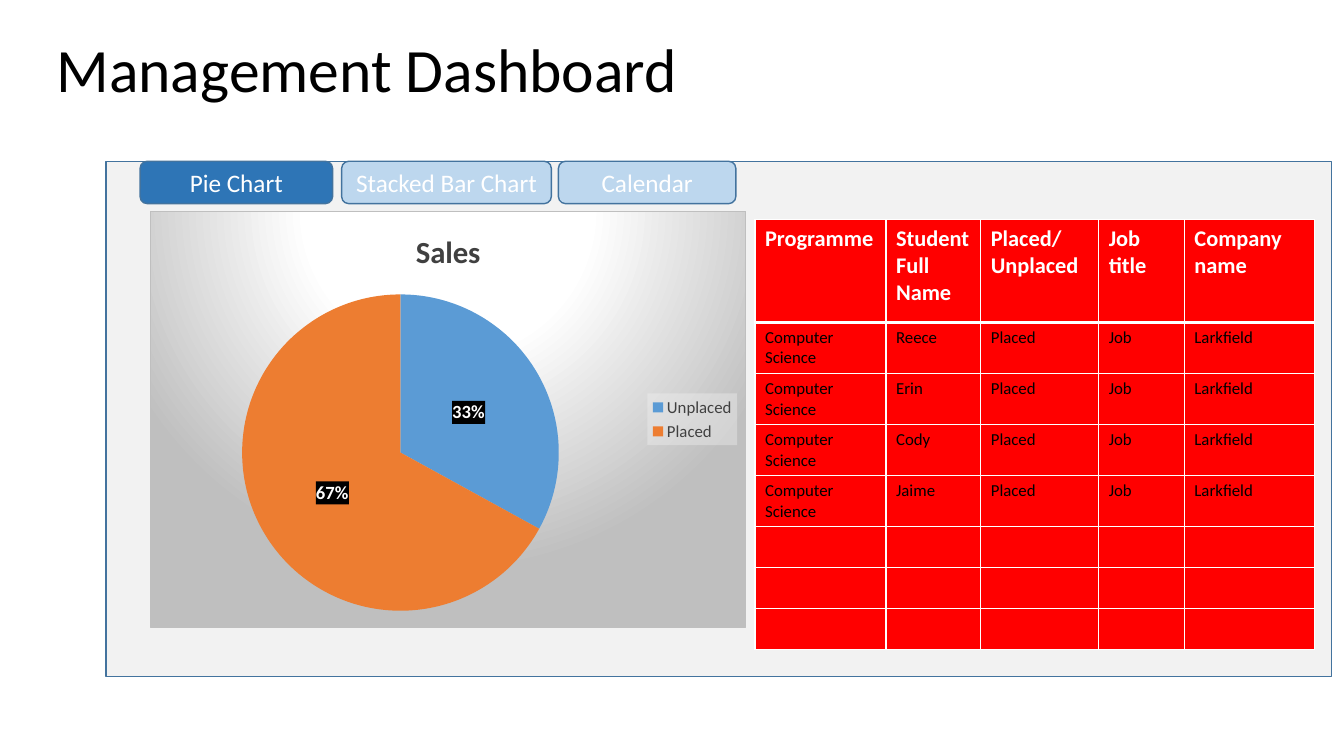
import lxml.etree
import pptx
import pptx.chart.data
import pptx.dml.color
import pptx.enum.chart
import pptx.enum.shapes
import pptx.enum.text
import pptx.oxml
import pptx.oxml.ns
import pptx.util

COLUMNS, ROWS = 40, 22.5
DRAWING = 'xmlns:a="http://schemas.openxmlformats.org/drawingml/2006/main"'
CHART = 'xmlns:c="http://schemas.openxmlformats.org/drawingml/2006/chart"'


def color(value):
    return pptx.dml.color.RGBColor.from_string(value)


def solid_fill(value, opacity=100):
    return (f'<a:solidFill><a:srgbClr val="{value}">'
            f'<a:alpha val="{opacity * 1000}"/></a:srgbClr></a:solidFill>')


class Dashboard:
    font_name = "Calibri"
    black, white, gray = "000000", "FFFFFF", "404040"
    outline, border, panel_fill = "43739E", "BFBFBF", "F2F2F2"
    active, inactive, alert = "2E75B6", "BDD7EE", "FF0000"

    def __init__(self, presentation):
        self.slide = presentation.slides.add_slide(presentation.slide_layouts[5])
        self.column = presentation.slide_width / COLUMNS
        self.row = presentation.slide_height / ROWS

    def box(self, left, top, width, height):
        return (round(left * self.column), round(top * self.row),
                round(width * self.column), round(height * self.row))

    def format_font(self, font, size, value, bold=False):
        font.name, font.size, font.bold = self.font_name, pptx.util.Pt(size), bold
        font.color.rgb = color(value)

    def format_text(self, text_frame, *style):
        for paragraph in text_frame.paragraphs:
            for run in paragraph.runs:
                self.format_font(run.font, *style)

    def title(self, text, *area):
        shape = self.slide.shapes.title
        shape.left, shape.top, shape.width, shape.height = self.box(*area)
        frame = shape.text_frame
        frame.text = text
        frame.auto_size = pptx.enum.text.MSO_AUTO_SIZE.NONE
        frame.vertical_anchor = pptx.enum.text.MSO_ANCHOR.TOP
        frame.paragraphs[0].alignment = pptx.enum.text.PP_ALIGN.LEFT
        self.format_text(frame, 44, self.black)

    def rectangle(self, fill, *area, text="", rounded=False):
        kinds = pptx.enum.shapes.MSO_SHAPE
        kind = kinds.ROUNDED_RECTANGLE if rounded else kinds.RECTANGLE
        shape = self.slide.shapes.add_shape(kind, *self.box(*area))
        shape.shadow.inherit = False
        shape.fill.solid()
        shape.fill.fore_color.rgb = color(fill)
        shape.line.color.rgb = color(self.outline)
        shape.line.width = pptx.util.Pt(1)
        if text:
            frame = shape.text_frame
            frame.text = text
            frame.vertical_anchor = pptx.enum.text.MSO_ANCHOR.MIDDLE
            frame.paragraphs[0].alignment = pptx.enum.text.PP_ALIGN.CENTER
            self.format_text(frame, 18, self.white)

    def chart_background(self, element, content):
        """Put shape properties just before the text properties of a chart part."""
        properties = pptx.oxml.parse_xml(f"<c:spPr {CHART} {DRAWING}>{content}</c:spPr>")
        element.find(pptx.oxml.ns.qn("c:txPr")).addprevious(properties)

    def pie(self, name, points, *area):
        data = pptx.chart.data.CategoryChartData()
        data.categories = [label for label, _, _ in points]
        data.add_series(name, [value for _, value, _ in points])
        chart = self.slide.shapes.add_chart(
            pptx.enum.chart.XL_CHART_TYPE.PIE, *self.box(*area), data).chart
        self.format_font(chart.font, 10, self.black)

        # Title and legend
        chart.has_title = True
        chart.chart_title.text_frame.text = name
        chart.chart_title.include_in_layout = False
        self.format_text(chart.chart_title.text_frame, 22, self.gray, True)
        chart.has_legend = True
        chart.legend.position = pptx.enum.chart.XL_LEGEND_POSITION.RIGHT
        chart.legend.include_in_layout = False
        self.format_font(chart.legend.font, 12, self.gray)

        # Slices and percentages
        plot = chart.plots[0]
        plot.vary_by_categories = True
        for index, (_, _, fill) in enumerate(points):
            slice_format = plot.series[0].points[index].format
            slice_format.fill.solid()
            slice_format.fill.fore_color.rgb = color(fill)
            slice_format.line.fill.background()
        labels = plot.series[0].data_labels
        labels.show_percentage, labels.show_value = True, False
        labels.number_format, labels.number_format_is_linked = "0%", False
        labels.position = pptx.enum.chart.XL_LABEL_POSITION.CENTER
        self.format_font(labels.font, 13.3, self.white, True)

        # Backgrounds
        stops = "".join(f'<a:gs pos="{position}000"><a:srgbClr val="{value}"/></a:gs>'
                        for position, value in
                        [(0, self.white), (39, self.white), (100, self.border)])
        self.chart_background(
            chart._chartSpace,
            f'<a:gradFill><a:gsLst>{stops}</a:gsLst><a:path path="circle">'
            '<a:fillToRect l="50000" t="-80000" r="50000" b="180000"/></a:path>'
            f'</a:gradFill><a:ln w="9525">{solid_fill(self.border)}</a:ln>')
        self.chart_background(chart.legend._element, solid_fill(self.panel_fill, 39))
        self.chart_background(labels._element, solid_fill(self.black, 75))

        # Position of the pie inside the chart
        plot_area = chart._chartSpace.chart.plotArea
        for layout in plot_area.findall(pptx.oxml.ns.qn("c:layout")):
            plot_area.remove(layout)
        places = "".join(f'<c:{tag} val="{value}"/>' for tag, value in [
            ("layoutTarget", "inner"), ("xMode", "edge"), ("yMode", "edge"),
            ("x", 0.15), ("y", 0.2), ("w", 0.54), ("h", 0.76)])
        plot_area.insert(0, pptx.oxml.parse_xml(
            f"<c:layout {CHART}><c:manualLayout>{places}</c:manualLayout></c:layout>"))

    def cell_borders(self, cell, top, bottom):
        properties = cell._tc.get_or_add_tcPr()
        for side, points in [("L", 1), ("R", 1), ("T", top), ("B", bottom)]:
            properties.append(pptx.oxml.parse_xml(
                f'<a:ln{side} {DRAWING} w="{points * 12700}">'
                f'{solid_fill(self.white)}</a:ln{side}>'))

    def table(self, left, top, widths, heights, records):
        area = self.box(left, top, sum(widths), sum(heights))
        table = self.slide.shapes.add_table(len(heights), len(widths), *area).table
        table.horz_banding = False
        for column, width in zip(table.columns, widths):
            column.width = round(width * self.column)
        for index, height in enumerate(heights):
            table.rows[index].height = round(height * self.row)
            record = records[index] if index < len(records) else [""] * len(widths)
            style = (16, self.white, True) if index == 0 else (12, self.black)
            for cell, text in zip(table.rows[index].cells, record):
                self.cell_borders(cell, 3 if index == 1 else 1, 3 if index == 0 else 1)
                cell.fill.solid()
                cell.fill.fore_color.rgb = color(self.alert)
                if text:
                    cell.text_frame.text = text
                    self.format_text(cell.text_frame, *style)


def main():
    presentation = pptx.Presentation()
    presentation.slide_width = pptx.util.Inches(13.33)
    presentation.slide_height = pptx.util.Inches(7.5)
    dashboard = Dashboard(presentation)

    # Heading and panel
    dashboard.title("Management Dashboard", 1.38, 0.78, 23.43, 2.52)
    dashboard.rectangle(dashboard.panel_fill, 3.15, 4.8, 36.48, 15.33)

    # Placement chart
    dashboard.pie("Sales", [("Unplaced", 33, "5B9BD5"), ("Placed", 67, "ED7D31")],
                  4.47, 6.27, 17.73, 12.42)

    # Student table
    header = ["Programme", "Student Full Name", "Placed/ Unplaced", "Job title",
              "Company name"]
    students = [["Computer Science", name, "Placed", "Job", "Larkfield"]
                for name in ["Reece", "Erin", "Cody", "Jaime"]]
    dashboard.table(22.47, 6.54, [3.9, 2.82, 3.51, 2.55, 3.87],
                    [3.06] + [1.38] * 4 + [1.17] * 3, [header] + students)

    # View tabs
    for text, left, width, fill in [
            ("Pie Chart", 4.17, 5.73, dashboard.active),
            ("Stacked Bar Chart", 10.17, 6.24, dashboard.inactive),
            ("Calendar", 16.62, 5.28, dashboard.inactive)]:
        dashboard.rectangle(fill, left, 4.8, width, 1.26, text=text, rounded=True)

    presentation.save("out.pptx")


if __name__ == "__main__":
    main()
